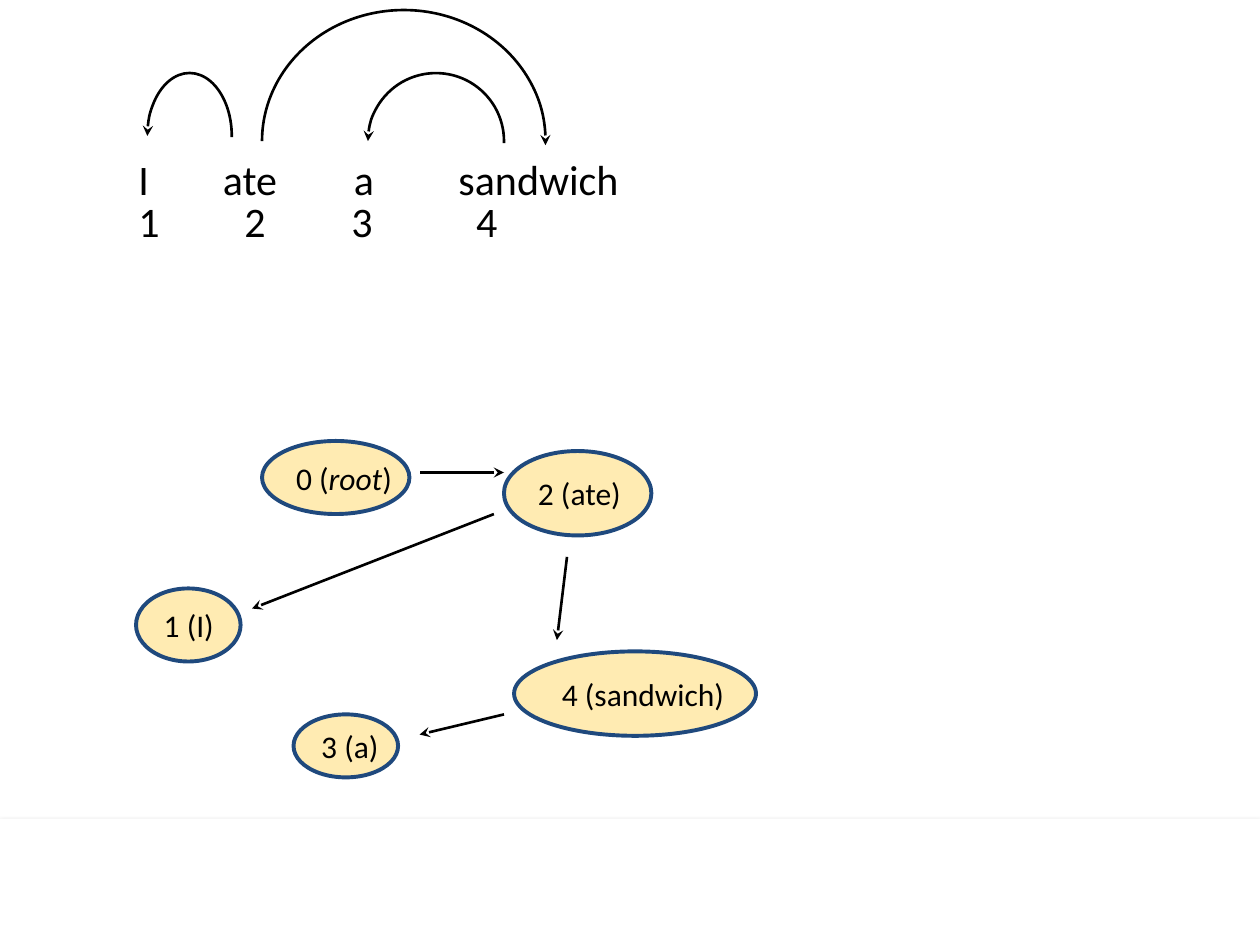
from lxml import etree
from pptx import Presentation
from pptx.dml.color import RGBColor
from pptx.enum.shapes import MSO_CONNECTOR, MSO_SHAPE
from pptx.enum.text import MSO_ANCHOR, MSO_AUTO_SIZE, PP_ALIGN
from pptx.oxml.ns import qn
from pptx.util import Inches, Pt

ARC, OVAL, RECT = MSO_SHAPE.ARC, MSO_SHAPE.OVAL, MSO_SHAPE.RECTANGLE
STRAIGHT = MSO_CONNECTOR.STRAIGHT
MIDDLE, LEFT = MSO_ANCHOR.MIDDLE, PP_ALIGN.LEFT
GROW = MSO_AUTO_SIZE.SHAPE_TO_FIT_TEXT
FONT = "Calibri"
COLORS = {"text": "000000", "node": "FFC000", "edge": "1F497D", "band": "FFFFFF"}


def rgb(name):
    """Return the named colour."""
    return RGBColor.from_string(COLORS[name])


def add_run(p, text, size, italic=False):
    """Add one formatted run to a paragraph."""
    r = p.add_run()
    r.text = text
    r.font.name, r.font.size, r.font.italic = FONT, Pt(size), italic
    r.font.color.rgb = rgb("text")


def style_arrow(line, end):
    """Make a line black with a stealth arrowhead at one end."""
    line.color.rgb = rgb("text")
    line.width = Pt(1.5)
    etree.SubElement(line._get_or_add_ln(), qn(f"a:{end}"), type="stealth")


def add_shape(slide, kind, x, y, w, h):
    """Add a preset shape without a shadow."""
    sp = slide.shapes.add_shape(kind, Inches(x), Inches(y), Inches(w), Inches(h))
    sp.shadow.inherit = False
    return sp


def add_arc(slide, x, y, w, h, end):
    """Add a mirrored half-ellipse arrow."""
    sp = add_shape(slide, ARC, x, y, w, h)
    sp.adjustments[0], sp.adjustments[1] = 107, 0
    sp._element.spPr.find(qn("a:xfrm")).set("flipH", "1")
    sp.fill.background()
    style_arrow(sp.line, end)


def add_tabbed_row(slide, x, y, w, words, stops):
    """Add a line of words aligned to tab stops."""
    tb = slide.shapes.add_textbox(Inches(x), Inches(y), Inches(w), Inches(0.5))
    tf = tb.text_frame
    tf.word_wrap, tf.auto_size = True, GROW
    p = tf.paragraphs[0]
    tabs = etree.SubElement(p._p.get_or_add_pPr(), qn("a:tabLst"))
    for stop in stops:
        etree.SubElement(tabs, qn("a:tab"), pos=str(Inches(stop)), algn="l")
    add_run(p, "\t".join(words), 24)


def add_node(slide, x, y, w, h, runs):
    """Add a translucent oval node with its label."""
    sp = add_shape(slide, OVAL, x, y, w, h)
    sp.fill.solid()
    sp.fill.fore_color.rgb = rgb("node")
    color = sp._element.spPr.find(qn("a:solidFill"))[0]
    etree.SubElement(color, qn("a:alpha"), val="30000")
    sp.line.color.rgb = rgb("edge")
    sp.line.width = Pt(2.25)
    tf = sp.text_frame
    tf.word_wrap, tf.vertical_anchor = False, MIDDLE
    p = tf.paragraphs[0]
    p.alignment = LEFT
    for text, italic in runs:
        add_run(p, text, 18, italic)


def add_link(slide, x1, y1, x2, y2):
    """Add a straight arrow whose head is at its start."""
    cn = slide.shapes.add_connector(STRAIGHT, Inches(x1), Inches(y1), Inches(x2), Inches(y2))
    style_arrow(cn.line, "headEnd")
    etree.SubElement(cn._element.spPr, qn("a:effectLst"))


def add_footer(slide, x, y, w, h):
    """Add the white footer band with a soft shadow."""
    sp = add_shape(slide, RECT, x, y, w, h)
    sp.fill.solid()
    sp.fill.fore_color.rgb = rgb("band")
    sp.line.fill.background()
    effects = sp._element.spPr.find(qn("a:effectLst"))
    shadow = etree.SubElement(
        effects, qn("a:outerShdw"), blurRad=str(Pt(3.1)), dist=str(Pt(1.8)),
        dir="5400000", rotWithShape="0")
    color = etree.SubElement(shadow, qn("a:srgbClr"), val=COLORS["text"])
    etree.SubElement(color, qn("a:alpha"), val="35000")


def add_sentence(slide, x, y, w):
    """Add the numbered sentence and its dependency arcs."""
    add_tabbed_row(slide, x, y + 1.09, w, ["I", "ate", "a", "sandwich"], [0.67, 1.71, 2.54])
    add_tabbed_row(slide, x, y + 1.42, w, ["1", "2", "3", "4"], [0.84, 1.69, 2.68])
    arcs = [
        (1.08, 0, 2.25, 2.08, "headEnd"),
        (1.92, 0.5, 1.08, 1.08, "tailEnd"),
        (0.17, 0.5, 0.67, 1, "tailEnd"),
    ]
    for dx, dy, aw, ah, end in arcs:
        add_arc(slide, x + dx, y + dy, aw, ah, end)


def add_tree(slide, x, y):
    """Add the dependency tree of nodes and arrows."""
    nodes = [
        (0, 1.17, 0.83, 0.58, [("1 (I)", False)]),
        (2.92, 0.08, 1.17, 0.67, [("2 (ate)", False)]),
        (1.25, 2.17, 0.83, 0.5, [("3 (a)", False)]),
        (3, 1.67, 1.92, 0.67, [("4 (sandwich)", False)]),
        (1, 0, 1.17, 0.58, [("0 (", False), ("root", True), (")", False)]),
    ]
    links = [
        (2.25, 2.33, 2.92, 2.17),
        (0.92, 1.33, 2.84, 0.58),
        (2.92, 0.25, 2.25, 0.25),
        (3.34, 1.58, 3.42, 0.92),
    ]
    for dx, dy, w, h, runs in nodes:
        add_node(slide, x + dx, y + dy, w, h, runs)
    for x1, y1, x2, y2 in links:
        add_link(slide, x + x1, y + y1, x + x2, y + y2)


def main():
    """Build and save the slide."""
    prs = Presentation()
    prs.slide_width, prs.slide_height = Inches(10), Inches(7.5)
    slide = prs.slides.add_slide(prs.slide_layouts[6])
    add_footer(slide, 0, 6.5, 10, 1)
    add_tree(slide, 1.08, 3.5)
    add_sentence(slide, 1, 0.08, 4.58)
    prs.save("out.pptx")


if __name__ == "__main__":
    main()
